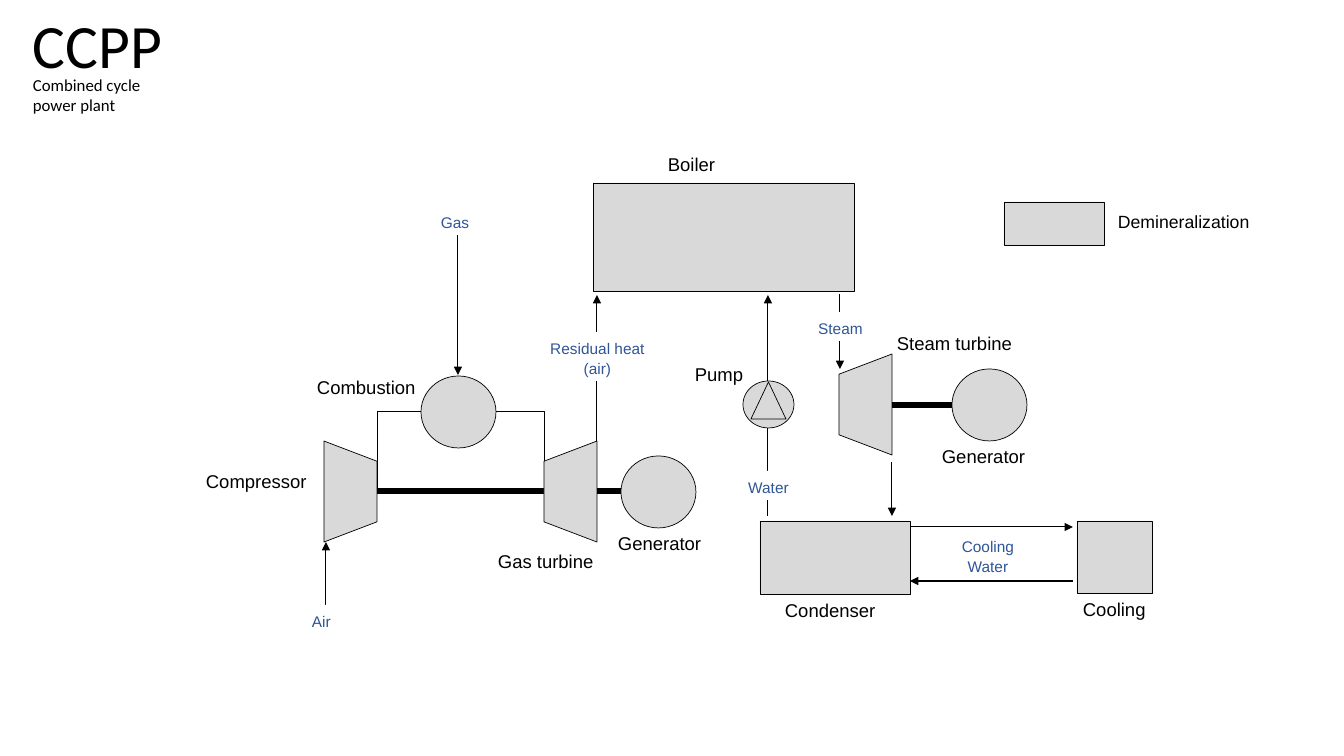
import dataclasses

import lxml.etree
import pptx
import pptx.dml.color
import pptx.enum.shapes
import pptx.enum.text
import pptx.oxml.ns
import pptx.util

SCALE = 914400 / 100.8
COLORS = {"ink": "000000", "equipment": "D9D9D9", "paper": "FFFFFF", "medium": "2F5597"}
SHAPES = pptx.enum.shapes.MSO_SHAPE
ALIGN = pptx.enum.text.PP_ALIGN
MACHINE = (75, 72)
TURBINE = (53, 101)


def px(length):
    """Turn px into EMU."""
    return pptx.util.Emu(round(length * SCALE))


def color(name):
    """Look up a colour by its name."""
    return pptx.dml.color.RGBColor.from_string(COLORS[name])


@dataclasses.dataclass
class Region:
    """A part of the slide that places its items relative to its corner."""

    slide: object
    left: int
    top: int

    def equipment(self, kind, left, top, size, rotation=0, filled=True):
        """Draw a machine outline; a quarter turn keeps the given visible box."""
        width, height = size
        if rotation:
            left += (width - height) / 2
            top += (height - width) / 2
            width, height = height, width
        shape = self.slide.shapes.add_shape(
            kind, px(self.left + left), px(self.top + top), px(width), px(height))
        shape.rotation = rotation
        shape.shadow.inherit = False
        if filled:
            shape.fill.solid()
            shape.fill.fore_color.rgb = color("equipment")
        else:
            shape.fill.background()
        shape.line.color.rgb = color("ink")
        shape.line.width = pptx.util.Pt(0.5)

    def line(self, start, end, weight=0.75, arrow=True):
        """Draw a flow arrow, or a plain shaft."""
        connector = self.slide.shapes.add_connector(
            pptx.enum.shapes.MSO_CONNECTOR.STRAIGHT,
            px(self.left + start[0]), px(self.top + start[1]),
            px(self.left + end[0]), px(self.top + end[1]))
        connector.line.color.rgb = color("ink")
        connector.line.width = pptx.util.Pt(weight)
        if arrow:
            tail = lxml.etree.SubElement(
                connector.line._get_or_add_ln(), pptx.oxml.ns.qn("a:tailEnd"))
            tail.set("type", "triangle")
        lxml.etree.SubElement(connector._element.spPr, pptx.oxml.ns.qn("a:effectLst"))

    def shaft(self, start, end):
        """Draw a thick shaft between machines."""
        self.line(start, end, weight=4.5, arrow=False)

    def text(self, lines, left, top, size, points, font="Arial", ink="ink",
             spacing=1.1, align=ALIGN.LEFT):
        """Write lines of text in a box and return the box."""
        box = self.slide.shapes.add_textbox(
            px(self.left + left), px(self.top + top), px(size[0]), px(size[1]))
        frame = box.text_frame
        frame.word_wrap = True
        for index, words in enumerate(lines):
            paragraph = frame.add_paragraph() if index else frame.paragraphs[0]
            paragraph.alignment = align
            paragraph.line_spacing = spacing
            run = paragraph.add_run()
            run.text = words
            run.font.name = font
            run.font.size = pptx.util.Pt(points)
            run.font.color.rgb = color(ink)
        return box

    def label(self, words, left, top, width=180, points=13.2):
        """Name a machine."""
        self.text([words], left, top, (width, 33), points)

    def medium(self, lines, left, top, size, align=ALIGN.CENTER):
        """Name what flows, on a patch that interrupts the arrow."""
        box = self.text(lines, left, top, size, 11, ink="medium", align=align)
        box.fill.solid()
        box.fill.fore_color.rgb = color("paper")


def add_heading(slide, left, top):
    """Write the title and subtitle."""
    region = Region(slide, left, top)
    title = region.text(["CCPP"], 0, -94, (196, 146), 44, font="Calibri", spacing=0.9)
    title.text_frame.vertical_anchor = pptx.enum.text.MSO_ANCHOR.MIDDLE
    region.text(["Combined cycle power plant"], 0, 0, (165, 50), 12,
                font="Calibri", spacing=1.0)


def add_gas_cycle(slide, left, top):
    """Draw compressor, combustion, gas turbine and generator."""
    region = Region(slide, left, top)
    region.equipment(SHAPES.RECTANGLE, 181, 205, (167, 80), filled=False)
    region.equipment(SHAPES.FLOWCHART_MANUAL_OPERATION, 128, 235, TURBINE, 270)
    region.equipment(SHAPES.OVAL, 225, 170, MACHINE)
    region.shaft((181, 285), (425, 285))
    region.line((401, 242), (401, 89))
    region.line((130, 403), (130, 336))
    region.equipment(SHAPES.OVAL, 425, 250, MACHINE)
    region.equipment(SHAPES.FLOWCHART_MANUAL_OPERATION, 348, 235, TURBINE, 90)
    region.line((262, 27), (262, 169))
    region.label("Compressor", 0, 257)
    region.label("Gas turbine", 292, 337)
    region.label("Generator", 412, 319)
    region.label("Combustion", 111, 163, 129)
    region.medium(["Gas"], 235, 0, (129, 29), ALIGN.LEFT)
    region.medium(["Air"], 106, 399, (52, 29), ALIGN.LEFT)
    region.medium(["Residual heat", "(air)"], 333, 126, (137, 49))


def add_boiler(slide, left, top):
    """Draw the boiler."""
    region = Region(slide, left, top)
    region.equipment(SHAPES.RECTANGLE, 0, 0, (261, 108))
    region.label("Boiler", 65, -37)


def add_demineralization(slide, left, top):
    """Draw the demineralization unit."""
    region = Region(slide, left, top)
    region.equipment(SHAPES.RECTANGLE, 0, 0, (100, 43))
    region.label("Demineralization", 104, 2, points=12.6)


def add_feed_water(slide, left, top):
    """Draw condenser, pump and the feed water line."""
    region = Region(slide, left, top)
    region.equipment(SHAPES.RECTANGLE, 75, 226, (150, 73))
    region.line((83, 221), (83, 0))
    region.equipment(SHAPES.OVAL, 58, 86, (51, 47))
    region.equipment(SHAPES.ISOSCELES_TRIANGLE, 66, 87, (35, 37), filled=False)
    region.label("Pump", 0, 61)
    region.label("Condenser", 90, 297)
    region.medium(["Water"], 38, 176, (91, 29))


def add_steam_cycle(slide, left, top):
    """Draw steam turbine and generator."""
    region = Region(slide, left, top)
    region.equipment(SHAPES.FLOWCHART_MANUAL_OPERATION, 44, 60, TURBINE, 90)
    region.equipment(SHAPES.OVAL, 157, 75, MACHINE)
    region.shaft((97, 111), (157, 111))
    region.line((45, 0), (45, 75))
    region.line((97, 168), (97, 222))
    region.label("Steam turbine", 92, 31)
    region.label("Generator", 137, 144)
    region.medium(["Steam"], 0, 18, (91, 29))


def add_cooling(slide, left, top):
    """Draw the cooling loop."""
    region = Region(slide, left, top)
    region.equipment(SHAPES.RECTANGLE, 167, 0, MACHINE)
    region.line((0, 6), (163, 6))
    region.line((163, 60), (0, 60))
    region.label("Cooling", 163, 70)
    region.medium(["Cooling Water"], 32, 9, (92, 49))


def main():
    """Build the plant diagram and save it."""
    presentation = pptx.Presentation()
    presentation.slide_width, presentation.slide_height = px(1344), px(756)
    slide = presentation.slides.add_slide(presentation.slide_layouts[6])
    add_heading(slide, 23, 70)
    add_gas_cycle(slide, 196, 206)
    add_boiler(slide, 593, 183)
    add_demineralization(slide, 1004, 202)
    add_feed_water(slide, 685, 295)
    add_steam_cycle(slide, 795, 294)
    add_cooling(slide, 910, 521)
    presentation.save("out.pptx")


if __name__ == "__main__":
    main()
